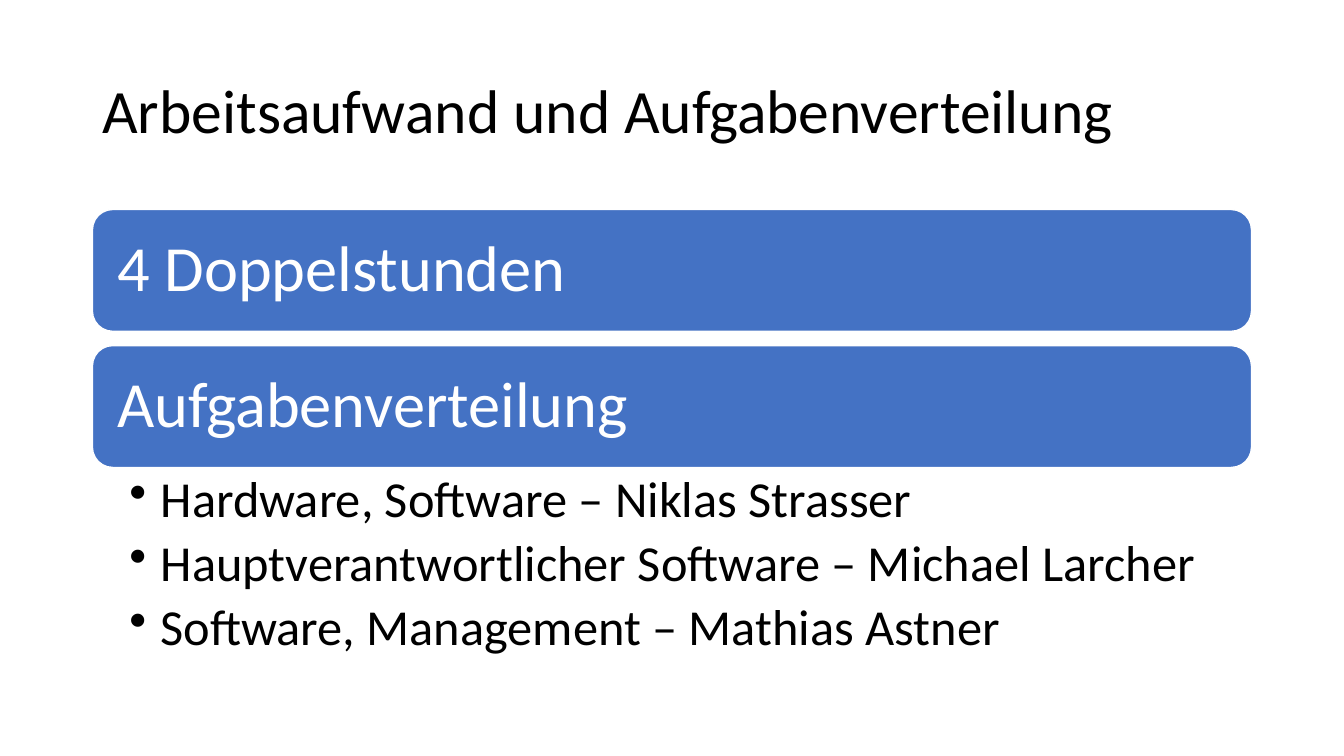
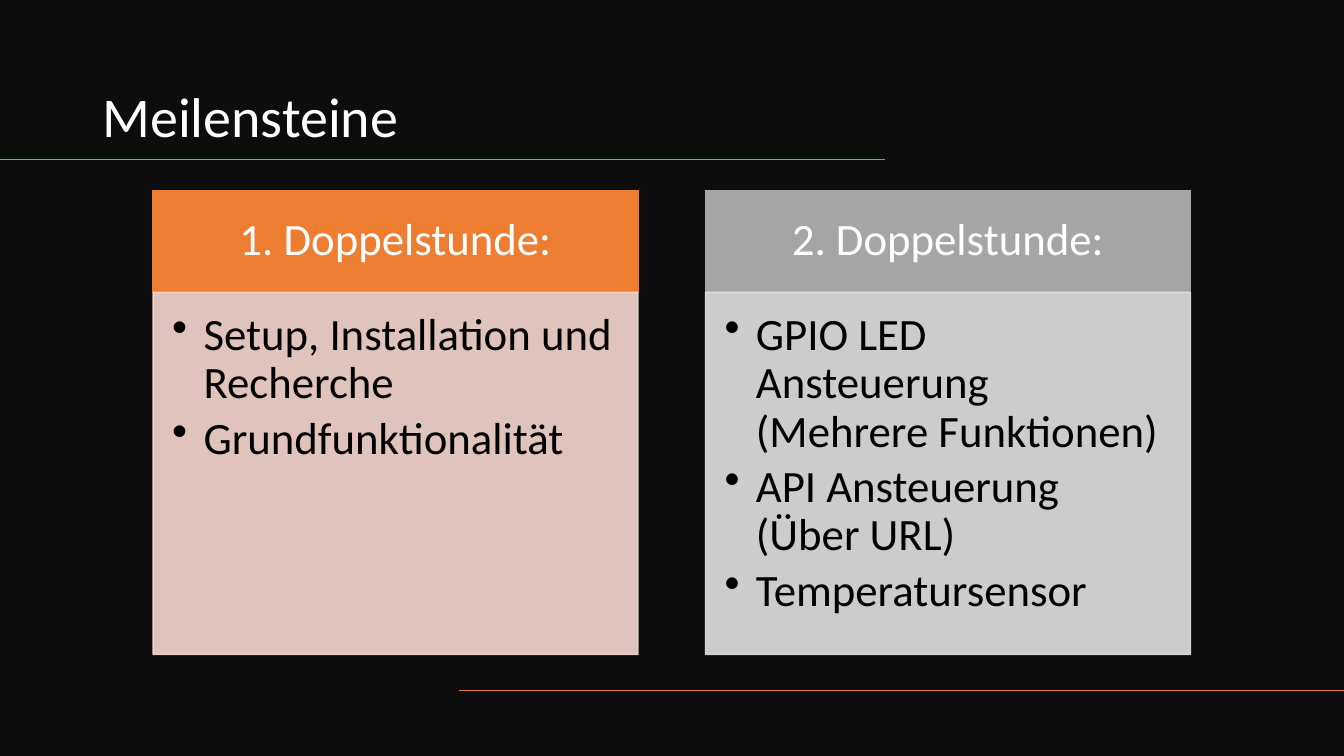
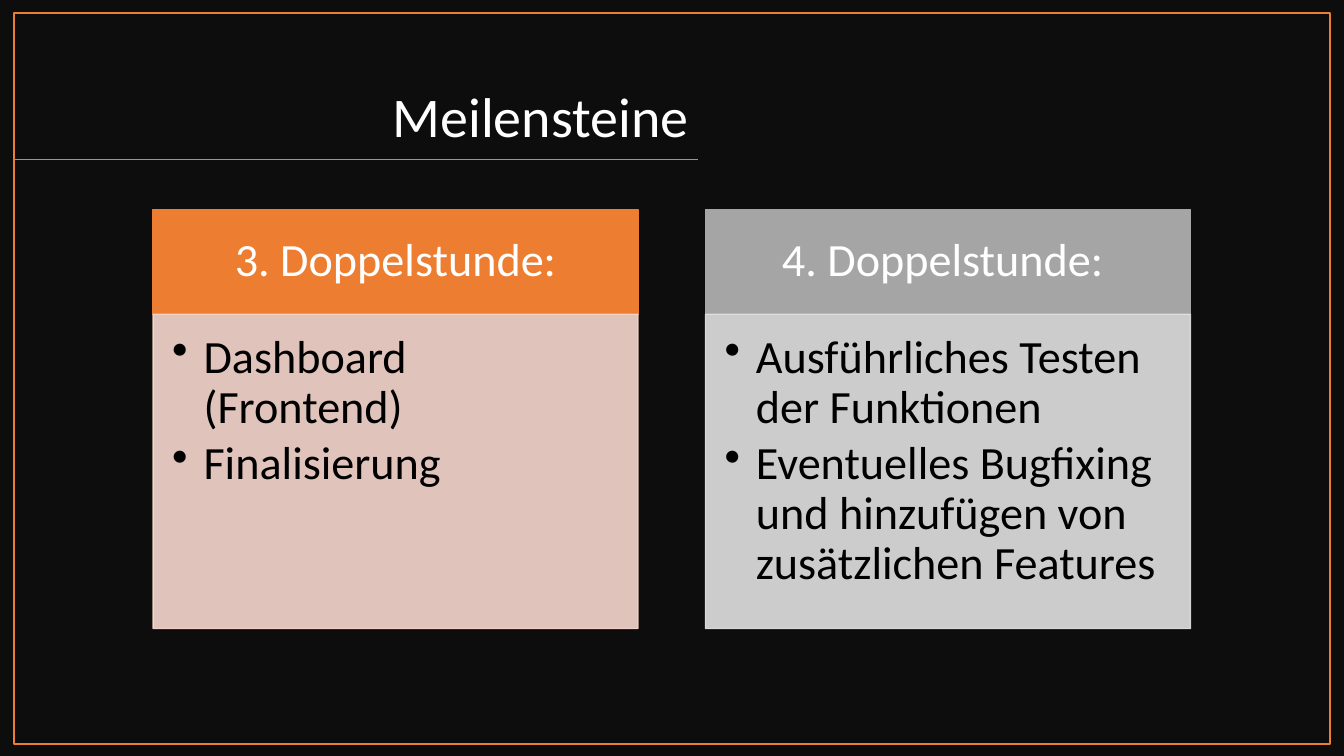
"""Build three slides on workload, task split and milestones of a school project."""
from dataclasses import dataclass

from pptx import Presentation
from pptx.dml.color import RGBColor
from pptx.enum.shapes import MSO_CONNECTOR as CONN, MSO_SHAPE as SHAPE
from pptx.enum.text import MSO_ANCHOR as ANCHOR, MSO_AUTO_SIZE as AUTO, PP_ALIGN as ALIGN
from pptx.oxml.xmlchemy import OxmlElement
from pptx.util import Cm, Pt

WORKLOAD = {
    "title": "Arbeitsaufwand und Aufgabenverteilung",
    "bars": ["4 Doppelstunden", "Aufgabenverteilung"],
    "tasks": [
        "Hardware, Software – Niklas Strasser",
        "Hauptverantwortlicher Software – Michael Larcher",
        "Software, Management – Mathias Astner",
    ],
}
MILESTONES = [
    {
        "title": "Meilensteine", "align": ALIGN.LEFT, "title_w": 19.97,
        "rules": [(0, 22.3, 4.02), (11.56, 33.87, 17.4)], "frame": None,
        "top": 4.8, "head_h": 2.57, "body_h": 9.12, "size": 32,
        "head_pad": (0.64, 0.36, 0.64, 0.36), "body_pad": (0.48, 0.48, 0.64, 0.72),
        "columns": [
            ("1. Doppelstunde:",
             ["Setup, Installation und Recherche", "Grundfunktionalität"]),
            ("2. Doppelstunde:",
             ["GPIO LED Ansteuerung (Mehrere Funktionen)",
              "API Ansteuerung (Über URL)", "Temperatursensor"]),
        ],
    },
    {
        "title": "Meilensteine", "align": ALIGN.RIGHT, "title_w": 15.27,
        "rules": [(0.35, 17.6, 4.02)], "frame": (0.35, 0.33, 33.17, 18.42),
        "top": 5.28, "head_h": 2.64, "body_h": 7.92, "size": 33,
        "head_pad": (0.66, 0.37, 0.66, 0.37), "body_pad": (0.48, 0.48, 0.66, 0.74),
        "columns": [
            ("3. Doppelstunde:", ["Dashboard (Frontend)", "Finalisierung"]),
            ("4. Doppelstunde: ",
             ["Ausführliches Testen der Funktionen",
              "Eventuelles Bugfixing und hinzufügen von zusätzlichen Features"]),
        ],
    },
]


@dataclass(frozen=True)
class Theme:
    """Colours and type sizes of the deck."""
    font: str = "Calibri"
    black: str = "000000"
    white: str = "FFFFFF"
    dark: str = "0D0D0D"
    blue: str = "4472C4"
    orange: str = "ED7D31"
    columns: tuple = (("ED7D31", "F8D7CE"), ("A5A5A5", "E1E1E1"))
    title: int = 44
    dark_title: int = 40
    bar: int = 46
    tasks: int = 36


T = Theme()
LEFT, WIDTH = 2.33, 29.21
BAR_TOP, BAR_H, BAR_PITCH = 5.28, 3.07, 3.43
COL_LEFT, COL_W, COL_PITCH = 3.86, 12.22, 13.92


def rgb(color):
    """Turn a hex string into a colour."""
    return RGBColor.from_string(color)


def write(tf, lines, *, size, color, align=ALIGN.LEFT, anchor=ANCHOR.MIDDLE,
          pad=(0.25, 0.13, 0.25, 0.13), bullet=False, after=0):
    """Fill a text frame with one paragraph per line."""
    tf.word_wrap, tf.auto_size, tf.vertical_anchor = True, AUTO.NONE, anchor
    tf.margin_left, tf.margin_top, tf.margin_right, tf.margin_bottom = map(Cm, pad)
    for i, line in enumerate(lines):
        p = tf.add_paragraph() if i else tf.paragraphs[0]
        p.alignment, p.line_spacing, p.space_after = align, 0.9, Pt(after)
        if bullet:
            pPr = p._p.get_or_add_pPr()
            pPr.set("marL", str(Cm(0.79)))
            pPr.set("indent", str(-Cm(0.79)))
            mark = OxmlElement("a:buChar")
            mark.set("char", "•")
            pPr.append(mark)
        r = p.add_run()
        r.text = line
        r.font.name, r.font.size, r.font.color.rgb = T.font, Pt(size), rgb(color)


def add_box(s, box, *, fill=None, line, kind=SHAPE.RECTANGLE, alpha=None):
    """Draw a preset shape with a 1 pt outline."""
    sp = s.shapes.add_shape(kind, *map(Cm, box))
    sp.shadow.inherit = False
    sp.line.width, sp.line.color.rgb = Pt(1), rgb(line)
    if fill:
        sp.fill.solid()
        sp.fill.fore_color.rgb = rgb(fill)
    else:
        sp.fill.background()
    if alpha:
        for clr in sp._element.spPr.iterfind(".//{*}srgbClr"):
            node = OxmlElement("a:alpha")
            node.set("val", str(alpha * 1000))
            clr.append(node)
    return sp


def add_rule(s, x1, x2, y):
    """Draw a thin horizontal accent line."""
    cx = s.shapes.add_connector(CONN.STRAIGHT, Cm(x1), Cm(y), Cm(x2), Cm(y))
    cx.line.width, cx.line.color.rgb = Pt(1), rgb(T.orange)
    cx._element.spPr.append(OxmlElement("a:effectLst"))


def new_slide(prs, title, box, *, background, **fmt):
    """Add a title-only slide with a placed and formatted title."""
    s = prs.slides.add_slide(prs.slide_layouts[5])
    s.background.fill.solid()
    s.background.fill.fore_color.rgb = rgb(background)
    sp = s.shapes.title
    sp.left, sp.top, sp.width, sp.height = map(Cm, box)
    write(sp.text_frame, [title], **fmt)
    return s


def workload_slide(prs, data):
    """Stack the bars and list the tasks below the last one."""
    s = new_slide(prs, data["title"], (LEFT, 1.02, WIDTH, 3.68),
                  background=T.white, size=T.title, color=T.black)
    for i, label in enumerate(data["bars"]):
        sp = add_box(s, (LEFT, BAR_TOP + i * BAR_PITCH, WIDTH, BAR_H), fill=T.blue,
                     line=T.white, kind=SHAPE.ROUNDED_RECTANGLE)
        write(sp.text_frame, [label], size=T.bar, color=T.white, pad=(0.48,) * 4)
    list_top = BAR_TOP + (len(data["bars"]) - 1) * BAR_PITCH + BAR_H
    tb = s.shapes.add_textbox(*map(Cm, (LEFT, list_top, WIDTH, 5.16)))
    write(tb.text_frame, data["tasks"], size=T.tasks, color=T.black, anchor=ANCHOR.TOP,
          pad=(0.93, 0.16, 0.91, 0.16), bullet=True, after=7)


def milestone_slide(prs, data):
    """Set two headed columns on a dark slide."""
    s = new_slide(prs, data["title"], (LEFT, 1.07, data["title_w"], 2.84),
                  background=T.dark, size=T.dark_title, color=T.white,
                  align=data["align"], anchor=ANCHOR.BOTTOM)
    for rule in data["rules"]:
        add_rule(s, *rule)
    if data["frame"]:
        add_box(s, data["frame"], line=T.orange)
    top, head_h, size = data["top"], data["head_h"], data["size"]
    for i, ((heading, items), (strong, pale)) in enumerate(zip(data["columns"], T.columns)):
        x = COL_LEFT + i * COL_PITCH
        head = add_box(s, (x, top, COL_W, head_h), fill=strong, line=strong)
        write(head.text_frame, [heading], size=size, color=T.white,
              align=ALIGN.CENTER, pad=data["head_pad"])
        body = add_box(s, (x, top + head_h, COL_W, data["body_h"]),
                       fill=pale, line=pale, alpha=90)
        write(body.text_frame, items, size=size, color=T.black, anchor=ANCHOR.TOP,
              pad=data["body_pad"], bullet=True, after=5)


def main():
    """Build and save the deck."""
    prs = Presentation()
    prs.slide_width, prs.slide_height = Cm(33.87), Cm(19.05)
    workload_slide(prs, WORKLOAD)
    for data in MILESTONES:
        milestone_slide(prs, data)
    prs.save("out.pptx")


if __name__ == "__main__":
    main()
